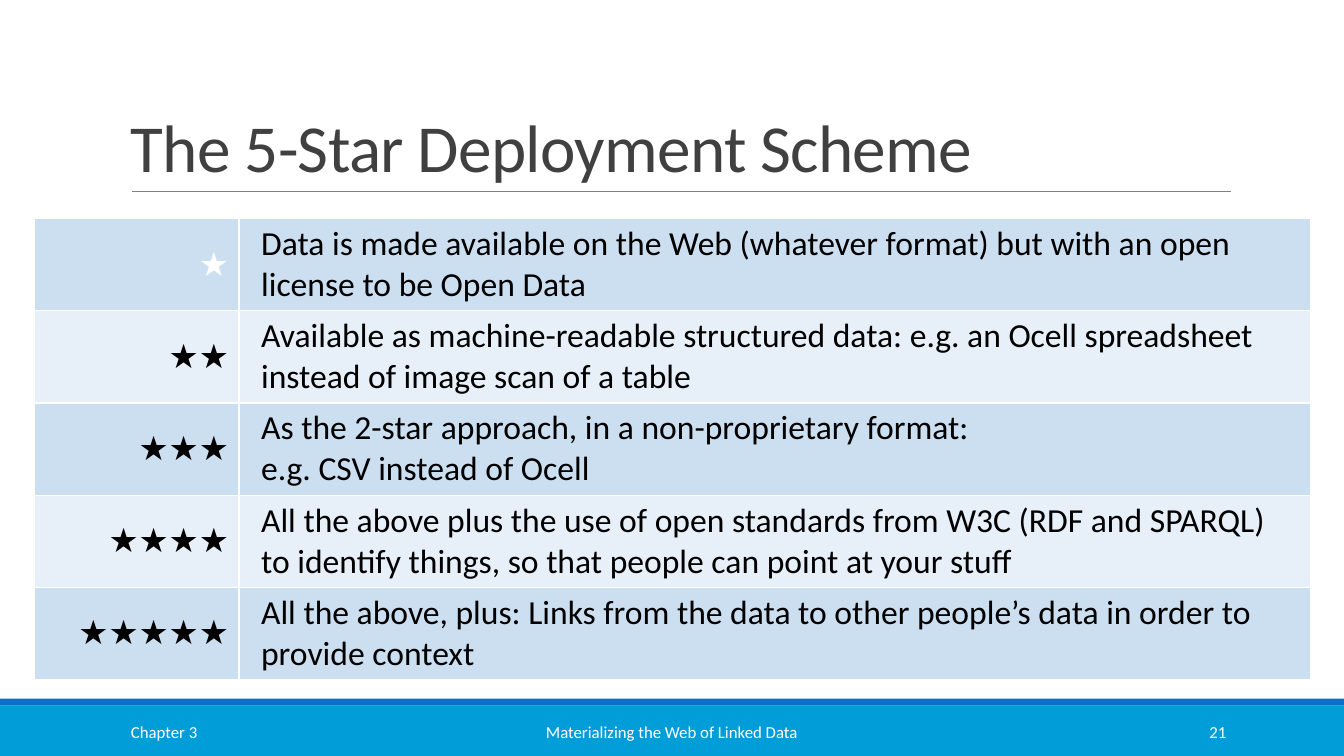
from dataclasses import dataclass

from lxml.etree import SubElement
from pptx import Presentation
from pptx.dml.color import RGBColor
from pptx.enum.shapes import MSO_CONNECTOR, MSO_SHAPE
from pptx.enum.text import MSO_ANCHOR, PP_ALIGN
from pptx.oxml.ns import qn
from pptx.util import Emu, Inches, Pt

FONT = "Calibri"
COLORS = {
    "white": "FFFFFF", "black": "000000", "title": "404040", "rule": "808080",
    "footer": "009DD9", "stripe": "0F6FC6", "odd": "CCDFF1", "even": "E7EFF8",
}
SLIDE_W, SLIDE_H = Inches(13.33), Inches(7.5)


@dataclass(frozen=True)
class Area:
    """Position and size in percent of the slide's width and height."""
    left: float
    top: float
    width: float
    height: float

    def box(self) -> tuple[Emu, Emu, Emu, Emu]:
        return across(self.left), down(self.top), across(self.width), down(self.height)


@dataclass(frozen=True)
class Band:
    area: Area
    color: str


@dataclass(frozen=True)
class Label:
    text: str
    area: Area
    align: PP_ALIGN


FOOTER_TOP, FOOTER_HEIGHT = 94.13, 5.33
TITLE_AREA = Area(9, 4.13, 82.5, 21.2)
RULE_LEFT, RULE_RIGHT, RULE_TOP = 9.83, 91.6, 25.33
STAR_COLUMN, LEVEL_COLUMN, LEVEL_ROW = 15.23, 79.74, 12.19

BANDS = [
    Band(Area(0, 93.33, 100, 6.67), "footer"),
    Band(Area(0, 92.4, 100, 0.93), "stripe"),
]
FOOTER_LABELS = [
    Label("Chapter 3", Area(9, FOOTER_TOP, 20.25, FOOTER_HEIGHT), PP_ALIGN.LEFT),
    Label("Materializing the Web of Linked Data",
          Area(30.23, FOOTER_TOP, 39.53, FOOTER_HEIGHT), PP_ALIGN.CENTER),
    Label("21", Area(81.25, FOOTER_TOP, 10.73, FOOTER_HEIGHT), PP_ALIGN.RIGHT),
]
# Each level has as many stars as its place in the list
LEVELS = [
    "Data is made available on the Web (whatever format) but with an open "
    "license to be Open Data",
    "Available as machine-readable structured data: e.g. an Ocell spreadsheet "
    "instead of image scan of a table",
    "As the 2-star approach, in a non-proprietary format:\n"
    "e.g. CSV instead of Ocell",
    "All the above plus the use of open standards from W3C (RDF and SPARQL) "
    "to identify things, so that people can point at your stuff",
    "All the above, plus: Links from the data to other people’s data in order "
    "to provide context",
]


def across(percent: float) -> Emu:
    return Emu(round(SLIDE_W * percent / 100))


def down(percent: float) -> Emu:
    return Emu(round(SLIDE_H * percent / 100))


def rgb(name: str) -> RGBColor:
    return RGBColor.from_string(COLORS[name])


def write(frame, text: str, *, size: float, color: str, align=PP_ALIGN.LEFT,
          line_spacing: float | None = None, tracking: float = 0,
          indent: float = 0) -> None:
    """Fill a text frame, one paragraph for each line of text."""
    frame.word_wrap = True
    for number, line in enumerate(text.split("\n")):
        paragraph = frame.add_paragraph() if number else frame.paragraphs[0]
        paragraph.alignment = align
        if line_spacing:
            paragraph.line_spacing = line_spacing
        if indent:
            properties = paragraph._p.get_or_add_pPr()
            properties.set("marL", str(Inches(indent)))
            properties.set("indent", "0")
        run = paragraph.add_run()
        run.text = line
        run.font.name, run.font.size = FONT, Pt(size)
        run.font.color.rgb = rgb(color)
        if tracking:
            run._r.get_or_add_rPr().set("spc", str(round(tracking * 100)))


def add_text(slide, text: str, area: Area, anchor: MSO_ANCHOR, **text_format) -> None:
    frame = slide.shapes.add_textbox(*area.box()).text_frame
    frame.vertical_anchor = anchor
    write(frame, text, **text_format)


def add_band(slide, band: Band) -> None:
    bar = slide.shapes.add_shape(MSO_SHAPE.RECTANGLE, *band.area.box())
    bar.shadow.inherit = False
    bar.fill.solid()
    bar.fill.fore_color.rgb = rgb(band.color)
    bar.line.fill.background()


def add_title_rule(slide) -> None:
    rule = slide.shapes.add_connector(
        MSO_CONNECTOR.STRAIGHT, across(RULE_LEFT), down(RULE_TOP),
        across(RULE_RIGHT), down(RULE_TOP))
    rule.line.color.rgb = rgb("rule")
    rule.line.width = Pt(0.5)
    SubElement(rule._element.spPr, qn("a:effectLst"))


def style_cell(cell, fill: str) -> None:
    """Give a cell thin white borders, a fill and centred height."""
    cell.vertical_anchor = MSO_ANCHOR.MIDDLE
    properties = cell._tc.get_or_add_tcPr()
    for side in ("lnL", "lnR", "lnT", "lnB"):
        border = SubElement(properties, qn(f"a:{side}"), w=str(Pt(1)))
        paint = SubElement(border, qn("a:solidFill"))
        SubElement(paint, qn("a:srgbClr"), val=COLORS["white"])
    cell.fill.solid()
    cell.fill.fore_color.rgb = rgb(fill)


def add_star_table(slide) -> None:
    area = Area(2.55, 28.93, STAR_COLUMN + LEVEL_COLUMN, LEVEL_ROW * len(LEVELS))
    table = slide.shapes.add_table(len(LEVELS), 2, *area.box()).table
    table.first_row = table.horz_banding = False
    for column, share in zip(table.columns, (STAR_COLUMN, LEVEL_COLUMN)):
        column.width = across(share)
    for index, level in enumerate(LEVELS):
        table.rows[index].height = down(LEVEL_ROW)
        stars, meaning = table.cell(index, 0), table.cell(index, 1)
        for cell in (stars, meaning):
            style_cell(cell, "even" if index % 2 else "odd")
        write(stars.text_frame, "★" * (index + 1), size=24,
              color="black" if index else "white", align=PP_ALIGN.RIGHT)
        write(meaning.text_frame, level, size=24, color="black", indent=0.12)


def main() -> None:
    deck = Presentation()
    deck.slide_width, deck.slide_height = SLIDE_W, SLIDE_H
    slide = deck.slides.add_slide(deck.slide_layouts[6])

    # Footer bands and title rule
    for band in BANDS:
        add_band(slide, band)
    add_title_rule(slide)

    # Title and footer texts
    add_text(slide, "The 5-Star Deployment Scheme", TITLE_AREA, MSO_ANCHOR.BOTTOM,
             size=48, color="title", line_spacing=0.85, tracking=-0.5)
    for label in FOOTER_LABELS:
        add_text(slide, label.text, label.area, MSO_ANCHOR.MIDDLE,
                 size=12, color="white", align=label.align)

    # Levels of the scheme
    add_star_table(slide)
    deck.save("out.pptx")


if __name__ == "__main__":
    main()
